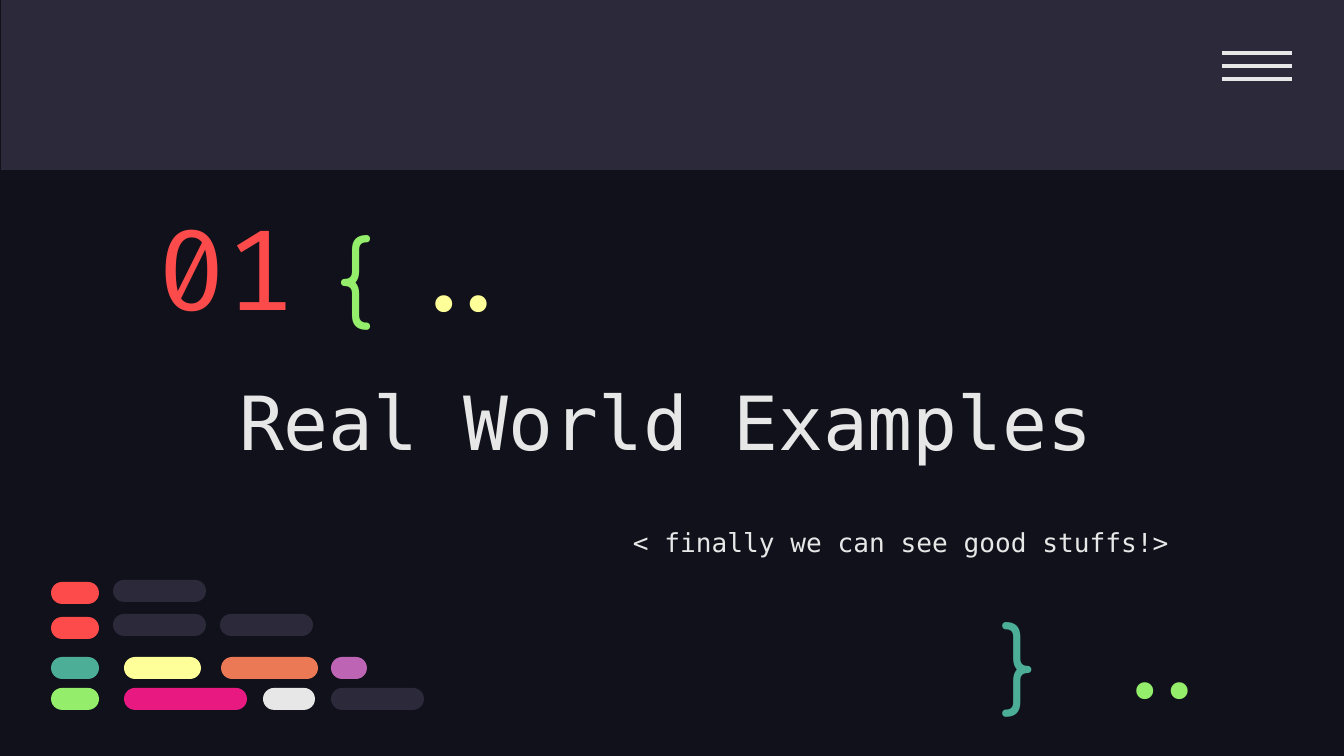
from dataclasses import dataclass

from pptx import Presentation
from pptx import util as u
from pptx.dml.color import RGBColor
from pptx.enum import shapes, text
from pptx.oxml.ns import qn
from lxml import etree

EMU_PER_PX = 914400 / 134.4
INSET = 13
PILL_HEIGHT = 22


@dataclass(frozen=True)
class Theme:
    night: str = "10111A"
    slate: str = "2C293A"
    white: str = "E7E7E7"
    red: str = "FD4A4A"
    green: str = "94EE6B"
    teal: str = "4CAE97"
    yellow: str = "FFFF99"
    orange: str = "EC7955"
    purple: str = "BD64B5"
    pink: str = "E81A81"
    mono: str = "DejaVu Sans Mono"
    code: str = "Fira Code"
    rounded: str = "Comfortaa"
    number_size: int = 60
    symbol_size: int = 50
    title_size: int = 40
    subtitle_size: int = 14


THEME = Theme()

# Each row of code pills: top, then (left, width, colour)
PILL_ROWS = [
    (582, [(51, 48, THEME.red)]),
    (617, [(51, 48, THEME.red)]),
    (657, [(51, 48, THEME.teal), (124, 77, THEME.yellow),
           (221, 97, THEME.orange), (331, 36, THEME.purple)]),
    (688, [(51, 48, THEME.green), (124, 123, THEME.pink),
           (263, 52, THEME.white), (331, 93, THEME.slate)]),
    (614, [(113, 93, THEME.slate), (220, 93, THEME.slate)]),
    (580, [(113, 93, THEME.slate)]),
]


def px(length):
    return u.Emu(round(length * EMU_PER_PX))


def add_block(slide, kind, box, colour):
    block = slide.shapes.add_shape(kind, *map(px, box))
    block.shadow.inherit = False
    block.fill.solid()
    block.fill.fore_color.rgb = RGBColor.from_string(colour)
    block.line.fill.background()
    return block


def add_pill(slide, left, top, width, colour):
    pill = add_block(slide, shapes.MSO_SHAPE.ROUNDED_RECTANGLE,
                     (left, top, width, PILL_HEIGHT), colour)
    pill.adjustments[0] = 0.5


def add_menu_bar(slide, y):
    bar = slide.shapes.add_connector(
        shapes.MSO_CONNECTOR.STRAIGHT, px(1222), px(y), px(1292), px(y))
    bar.line.color.rgb = RGBColor.from_string(THEME.white)
    bar.line.width = u.Pt(2.25)
    etree.SubElement(bar._element.spPr, qn("a:effectLst"))


def add_label(slide, words, box, font, size, colour, middle=False,
              align=text.PP_ALIGN.LEFT, spacing=1.0):
    frame = slide.shapes.add_textbox(*map(px, box)).text_frame
    frame.word_wrap = True
    frame.margin_left = frame.margin_right = px(INSET)
    frame.margin_top = frame.margin_bottom = px(INSET)
    frame.vertical_anchor = (text.MSO_ANCHOR.MIDDLE if middle
                             else text.MSO_ANCHOR.TOP)
    paragraph = frame.paragraphs[0]
    paragraph.text = words
    paragraph.alignment = align
    paragraph.line_spacing = spacing
    paragraph.font.name = font
    paragraph.font.size = u.Pt(size)
    paragraph.font.color.rgb = RGBColor.from_string(colour)


def add_dots(slide, left, top, colour):
    add_label(slide, "..", (left, top, 144, 81), THEME.code,
              THEME.symbol_size, colour, middle=True,
              align=text.PP_ALIGN.RIGHT)


def main():
    deck = Presentation()
    deck.slide_width, deck.slide_height = px(1344), px(756)
    slide = deck.slides.add_slide(deck.slide_layouts[6])
    slide.background.fill.solid()
    slide.background.fill.fore_color.rgb = RGBColor.from_string(THEME.night)

    # Header band with menu icon
    add_block(slide, shapes.MSO_SHAPE.RECTANGLE, (1, 0, 1343, 170),
              THEME.slate)
    for row in range(3):
        add_menu_bar(slide, 53 + 13 * row)

    # Section title, number and subtitle
    add_label(slide, "Real World Examples", (226, 333, 976, 176),
              THEME.mono, THEME.title_size, THEME.white, middle=True)
    add_label(slide, "01", (145, 199, 243, 134),
              THEME.code, THEME.number_size, THEME.red, middle=True)
    add_label(slide, "< finally we can see good stuffs!>",
              (620, 509, 574, 42), THEME.mono, THEME.subtitle_size,
              THEME.white, spacing=1.15)

    # Braces and dots around the title
    add_label(slide, "{", (323, 202, 103, 128), THEME.rounded,
              THEME.symbol_size, THEME.green)
    add_label(slide, "}", (988, 589, 77, 112), THEME.rounded,
              THEME.symbol_size, THEME.teal)
    add_dots(slide, 1089, 621, THEME.green)
    add_dots(slide, 388, 234, THEME.yellow)

    # Lines of code drawn as pills
    for top, pills in PILL_ROWS:
        for left, width, colour in pills:
            add_pill(slide, left, top, width, colour)

    deck.save("out.pptx")


if __name__ == "__main__":
    main()
